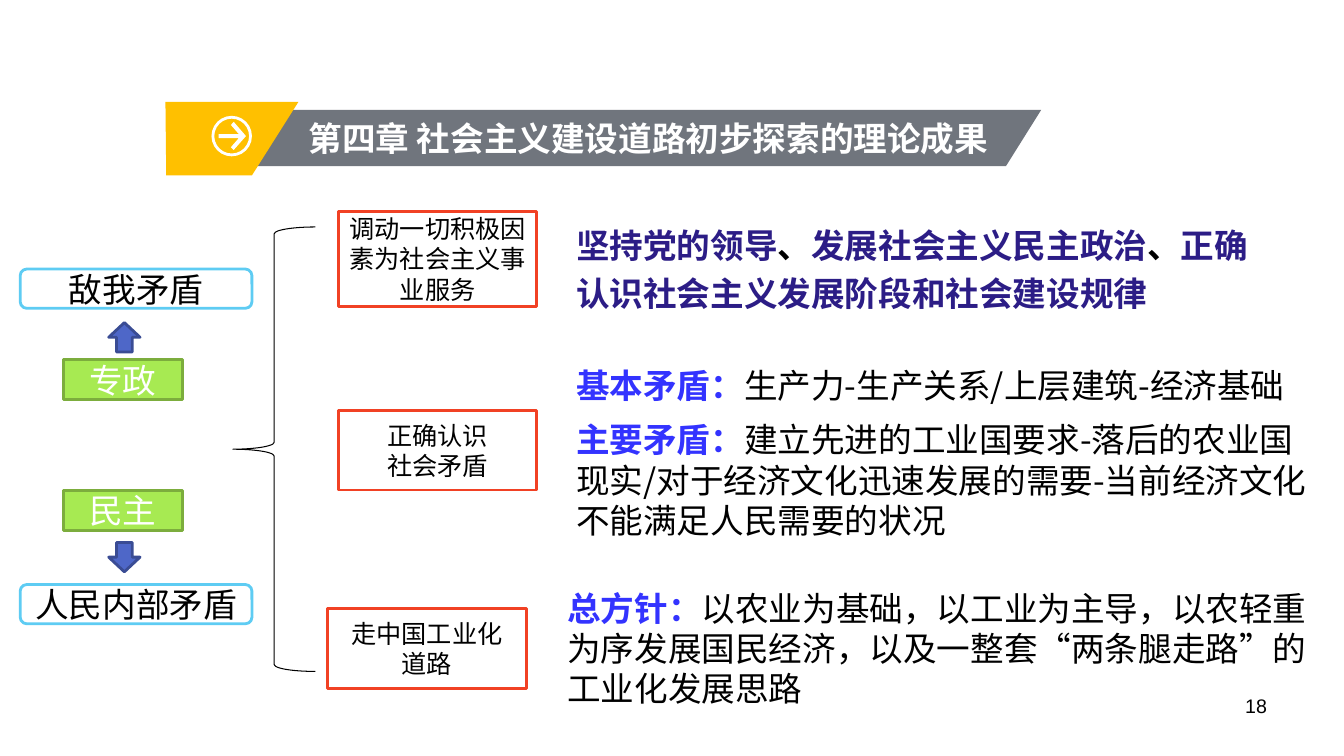
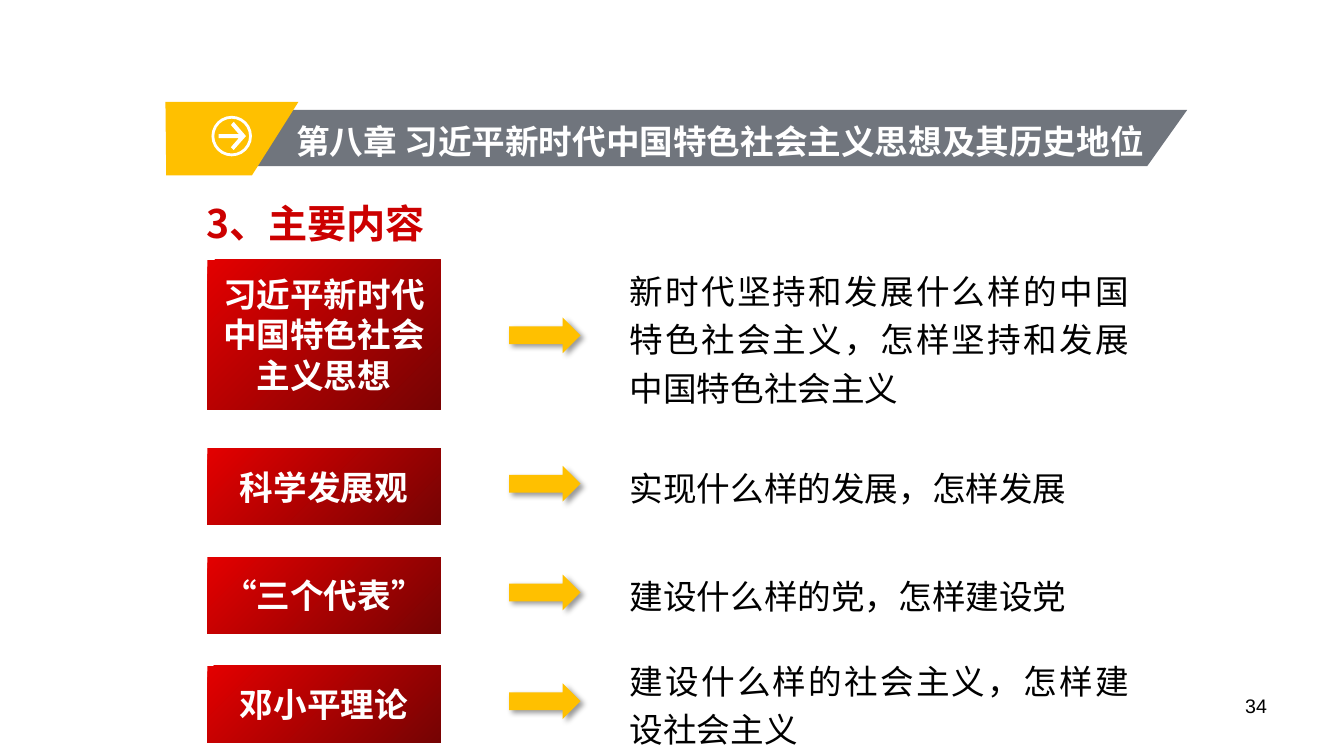
from lxml import etree
from pptx import Presentation
from pptx.dml.color import RGBColor
from pptx.enum.shapes import MSO_SHAPE
from pptx.enum.text import MSO_ANCHOR, MSO_AUTO_SIZE, PP_ALIGN
from pptx.oxml.ns import qn
from pptx.util import Cm, Pt

LEFT, CENTER, RIGHT, JUSTIFY = PP_ALIGN.LEFT, PP_ALIGN.CENTER, PP_ALIGN.RIGHT, PP_ALIGN.JUSTIFY
TOP, MIDDLE = MSO_ANCHOR.TOP, MSO_ANCHOR.MIDDLE
RECTANGLE, ROUNDED = MSO_SHAPE.RECTANGLE, MSO_SHAPE.ROUNDED_RECTANGLE
PROCESS, BRACE, RING = MSO_SHAPE.FLOWCHART_PROCESS, MSO_SHAPE.LEFT_BRACE, MSO_SHAPE.DONUT
UP_ARROW, DOWN_ARROW, RIGHT_ARROW = MSO_SHAPE.UP_ARROW, MSO_SHAPE.DOWN_ARROW, MSO_SHAPE.RIGHT_ARROW

BLACK = RGBColor(0x00, 0x00, 0x00)
WHITE = RGBColor(0xFF, 0xFF, 0xFF)
GRAY = RGBColor(0x70, 0x75, 0x7D)
AMBER = RGBColor(0xFF, 0xC0, 0x00)
ORANGE_RED = RGBColor(0xF1, 0x41, 0x24)
SKY = RGBColor(0x5E, 0xCC, 0xF3)
BLUE = RGBColor(0x4E, 0x67, 0xC8)
DARK_BLUE = RGBColor(0x3A, 0x4C, 0x94)
GREEN = RGBColor(0xA7, 0xEA, 0x52)
DARK_GREEN = RGBColor(0x7C, 0xAD, 0x3D)
INDIGO = RGBColor(0x2C, 0x1D, 0x86)
BRIGHT_BLUE = RGBColor(0x33, 0x33, 0xFF)
HEADING_RED = RGBColor(0xCC, 0x00, 0x00)
GRADIENT_RED = (RGBColor(0xE3, 0x00, 0x00), RGBColor(0x76, 0x03, 0x03))

CHINESE_FONT = "Noto Sans CJK SC"
LATIN_FONT = "Arial"

TAB_OUTLINE = [(4.17, 2.57), (7.52, 2.57), (6.35, 4.42), (4.19, 4.42)]
ICON_ARROW = [(5.89, 3.78), (5.82, 3.71), (6.02, 3.48), (5.51, 3.48), (5.51, 3.38),
              (6.02, 3.38), (5.82, 3.15), (5.89, 3.07), (6.2, 3.43)]


class Deck:
    """Holds the presentation, its style and the current slide; boxes are (left, top, width, height) in cm."""

    def __init__(self):
        self.presentation = Presentation()
        self.presentation.slide_width = Cm(33.87)
        self.presentation.slide_height = Cm(19.05)
        self.slide = None

    def add_slide(self, title, title_box, number, band_right, slant):
        layout = self.presentation.slide_layouts[5]
        self.slide = self.presentation.slides.add_slide(layout)
        self.text(number, (24.28, 17.35, 7.9, 1.32), size=14, font=LATIN_FONT, align=RIGHT)
        self.polygon([(4.37, 2.77), (band_right, 2.77), (band_right - slant, 4.19), (4.37, 4.19)], GRAY)
        self.polygon(TAB_OUTLINE, AMBER)
        self.title(title, title_box)
        ring = self.shape(RING, (5.33, 2.92, 1.02, 1.02), WHITE)
        ring.adjustments[0] = 0.07
        self.polygon(ICON_ARROW, WHITE)

    def title(self, text, box):
        title = self.slide.shapes.title
        title.left, title.top, title.width, title.height = map(Cm, box)
        self.slide.shapes.element.append(title.element)  # bring in front of the bands
        self.fill_frame(title.text_frame, [text], color=WHITE, bold=True)
        title.text_frame.word_wrap = False
        title.text_frame.auto_size = MSO_AUTO_SIZE.SHAPE_TO_FIT_TEXT

    def fill_frame(self, frame, paragraphs, size=24, font=CHINESE_FONT, color=BLACK, bold=False,
                   align=LEFT, anchor=TOP, line_spacing=None, gap=0):
        """Fill a frame; a paragraph is a string or a list of (text, color, bold) runs."""
        frame.word_wrap = True
        frame.vertical_anchor = anchor
        for index, content in enumerate(paragraphs):
            paragraph = frame.add_paragraph() if index else frame.paragraphs[0]
            paragraph.alignment = align
            if line_spacing:
                paragraph.line_spacing = line_spacing
            if index and gap:
                paragraph.space_before = Pt(gap)
            paragraph.font.size = Pt(size)
            paragraph.font.name = font
            if isinstance(content, str):
                paragraph.font.bold = bold
                paragraph.font.color.rgb = color
                paragraph.add_run().text = content
            else:
                for text, run_color, run_bold in content:
                    run = paragraph.add_run()
                    run.text = text
                    run.font.bold = run_bold
                    run.font.color.rgb = run_color
            defaults = paragraph._p.pPr.find(qn("a:defRPr"))
            etree.SubElement(defaults, qn("a:ea"), typeface=CHINESE_FONT)

    def text(self, content, box, **style):
        paragraphs = [content] if isinstance(content, str) else content
        text_box = self.slide.shapes.add_textbox(*map(Cm, box))
        self.fill_frame(text_box.text_frame, paragraphs, **style)

    def finish(self, shape, fill, line, line_width):
        """Apply fill (None, a color or a gradient pair) and outline, without shadow."""
        shape.shadow.inherit = False
        if fill is None:
            shape.fill.background()
        elif isinstance(fill, RGBColor):
            shape.fill.solid()
            shape.fill.fore_color.rgb = fill
        else:
            shape.fill.gradient()
            shape.fill.gradient_angle = 315
            for stop, position, color in zip(shape.fill.gradient_stops, (0, 1), fill):
                stop.position = position
                stop.color.rgb = color
        if line is None:
            shape.line.fill.background()
        else:
            shape.line.color.rgb = line
            shape.line.width = Pt(line_width)

    def shape(self, kind, box, fill=None, line=None, line_width=2, paragraphs=(), **style):
        shape = self.slide.shapes.add_shape(kind, *map(Cm, box))
        self.finish(shape, fill, line, line_width)
        self.fill_frame(shape.text_frame, paragraphs, align=CENTER, anchor=MIDDLE, **style)
        return shape

    def polygon(self, points, fill):
        corners = [(Cm(x), Cm(y)) for x, y in points]
        builder = self.slide.shapes.build_freeform(*corners[0])
        builder.add_line_segments(corners[1:], close=True)
        self.finish(builder.convert_to_shape(), fill, None, 0)

    def shadowed_arrow(self, box):
        arrow = self.shape(RIGHT_ARROW, box, AMBER)
        effects = arrow.element.spPr.find(qn("a:effectLst"))
        shadow = etree.SubElement(effects, qn("a:outerShdw"), blurRad=str(Pt(4)),
                                  dist=str(Pt(3)), dir=str(45 * 60000), algn="tl", rotWithShape="0")
        color = etree.SubElement(shadow, qn("a:srgbClr"), val=str(BLACK))
        etree.SubElement(color, qn("a:alpha"), val="40000")


def add_exploration_slide(deck):
    deck.add_slide("第四章 社会主义建设道路初步探索的理论成果", (7.52, 2.84, 18.01, 1.27),
                   "18", band_right=26.24, slant=0.89)
    deck.shape(BRACE, (5.87, 5.72, 2.08, 11.2), line=BLACK, line_width=0.75)

    topics = [
        (8.53, 5.33, 2.39, ["调动一切积极因素为社会主义事业服务"]),
        (8.53, 10.34, 2.01, ["正确认识", "社会矛盾"]),
        (8.26, 15.34, 2.01, ["走中国工业化", "道路"]),
    ]
    for left, top, height, paragraphs in topics:
        deck.shape(RECTANGLE, (left, top, 5, height), WHITE, ORANGE_RED,
                   paragraphs=paragraphs, size=18)

    deck.text([[("坚持党的领导", INDIGO, True), ("、", BLACK, True),
                ("发展社会主义民主政治", INDIGO, True), ("、", BLACK, True),
                ("正确认识社会主义发展阶段和社会建设规律", INDIGO, True)]],
              (14.27, 5.33, 18.06, 2.57), line_spacing=1.2)
    deck.text([[("基本矛盾：", BRIGHT_BLUE, True),
                ("生产力-生产关系/上层建筑-经济基础", BLACK, False)],
               [("主要矛盾：", BRIGHT_BLUE, True),
                ("建立先进的工业国要求-落后的农业国现实/对于经济文化迅速发展的需要-"
                 "当前经济文化不能满足人民需要的状况", BLACK, False)]],
              (14.27, 9.07, 19.25, 4.72), gap=10)
    deck.text([[("总方针：", BRIGHT_BLUE, True),
                ("以农业为基础，以工业为主导，以农轻重为序发展国民经济，"
                 "以及一整套“两条腿走路”的工业化发展思路", BLACK, False)]],
              (14.05, 14.68, 19.38, 3.33))

    contradictions = [
        ("敌我矛盾", 6.78, UP_ARROW, 8.13, "专政", 9.07),
        ("人民内部矛盾", 14.73, DOWN_ARROW, 13.67, "民主", 12.37),
    ]
    for name, name_top, arrow, arrow_top, method, method_top in contradictions:
        deck.shape(ROUNDED, (0.51, name_top, 5.84, 0.99), WHITE, SKY,
                   paragraphs=[name], font=LATIN_FONT)
        deck.shape(arrow, (2.74, arrow_top, 0.79, 0.74), BLUE, DARK_BLUE)
        deck.shape(PROCESS, (1.6, method_top, 3, 0.99), GREEN, DARK_GREEN,
                   paragraphs=[method], color=WHITE)


def add_contents_slide(deck):
    deck.add_slide("第八章 习近平新时代中国特色社会主义思想及其历史地位", (7.21, 2.92, 22, 1.27),
                   "34", band_right=29.92, slant=1.01)
    deck.text("3、主要内容", (4.95, 4.67, 22.83, 1.3), size=28, color=HEADING_RED, bold=True,
              anchor=MIDDLE, line_spacing=1.5)

    small_top, small_height, pitch = 11.3, 1.93, 2.74
    theories = [
        ("习近平新时代中国特色社会主义思想", 6.55, 3.76, 8.45, 3,
         "新时代坚持和发展什么样的中国特色社会主义，怎样坚持和发展中国特色社会主义"),
    ]
    small_theories = [
        ("科学发展观", 1, "实现什么样的发展，怎样发展"),
        ("“三个代表”", 1, "建设什么样的党，怎样建设党"),
        ("邓小平理论", 2, "建设什么样的社会主义，怎样建设社会主义"),
    ]
    for index, (name, lines, question) in enumerate(small_theories):
        top = small_top + index * pitch
        theories.append((name, top, small_height, top + 0.89, lines, question))

    for name, top, height, center, lines, question in theories:
        deck.shape(RECTANGLE, (5.23, top, 5.87, height), GRADIENT_RED,
                   paragraphs=[name], color=WHITE, bold=True)
        text_height = 0.25 + 1.22 * lines
        deck.text(question, (15.62, center - text_height / 2, 13.08, text_height),
                  font=LATIN_FONT, align=JUSTIFY, anchor=MIDDLE, line_spacing=1.2)
        deck.shadowed_arrow((12.83, center - 0.45, 1.8, 0.9))


def main():
    deck = Deck()
    add_exploration_slide(deck)
    add_contents_slide(deck)
    deck.presentation.save("out.pptx")


if __name__ == "__main__":
    main()
